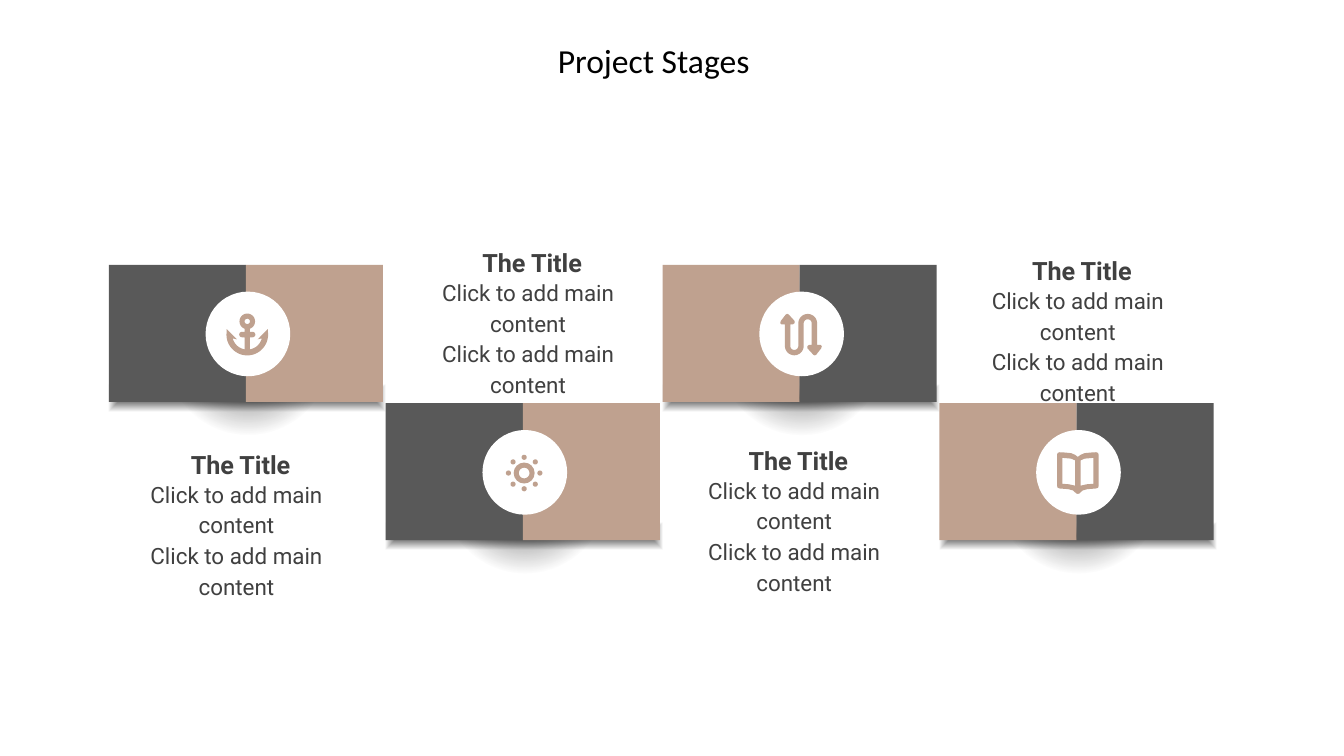
"""Build the Project Stages slide with four alternating stage cards."""
from dataclasses import dataclass
from math import cos, radians, sin
from typing import Any

from pptx import Presentation
from pptx.dml.color import RGBColor
from pptx.enum.shapes import MSO_SHAPE
from pptx.enum.text import MSO_ANCHOR, MSO_AUTO_SIZE, PP_ALIGN
from pptx.oxml import parse_xml
from pptx.oxml.ns import nsdecls
from pptx.util import Inches, Pt

Contour = list[tuple[float, float]]


@dataclass(frozen=True)
class Theme:
    tan: RGBColor = RGBColor.from_string("BFA18F")
    gray: RGBColor = RGBColor.from_string("595959")
    white: RGBColor = RGBColor.from_string("FFFFFF")
    black: RGBColor = RGBColor.from_string("000000")
    ink: RGBColor = RGBColor.from_string("404040")
    heading_font: str = "Calibri"
    body_font: str = "Roboto"
    heading_size: float = 18
    title_size: float = 13.5
    body_size: float = 12
    line_spacing: float = 1.14


@dataclass(frozen=True)
class Stage:
    halves: tuple[RGBColor, RGBColor]
    icon: list[Contour]
    text_left: float
    text_top: float
    title: str = "The Title"
    body: tuple[str, ...] = ("Click to add main content",) * 2


THEME = Theme()
SLIDE_WIDTH = Inches(10)
SLIDE_HEIGHT = SLIDE_WIDTH * 9 // 16
FIRST_LEFT, FIRST_TOP = 0.81, 1.97
STEP_X, STEP_Y = 2.06, 1.03
HALF = 1.02
BADGE = 0.63
ICON_CENTER = (1.03, 0.52)


def apply(target: Any, values: dict[str, Any]) -> None:
    for attribute, value in values.items():
        setattr(target, attribute, value)


def arc(x: float, y: float, radius: float, start: float = 0, end: float = 360,
        steps: int = 16) -> Contour:
    angles = [radians(start + (end - start) * i / steps) for i in range(steps + 1)]
    return [(x + radius * cos(a), y + radius * sin(a)) for a in angles]


def mirrored(half: Contour) -> Contour:
    return half + [(-x, y) for x, y in reversed(half)]


def anchor_icon() -> list[Contour]:
    right = (arc(0, -9.8, 5.8, -90, 70) + [(2, -2)] + arc(4, 0, 2, -90, 90)
             + [(2, 2), (2, 11)] + arc(0, 0, 11.2, 80, 15)
             + [(7.8, 3.5), (15.3, -4)] + arc(0, 0, 15.5, 0, 90))
    return [mirrored(right), arc(0, -9.8, 2)]


def sun_icon() -> list[Contour]:
    rays = [arc(x, y, 1.9) for x, y in arc(0, 0, 11.7, steps=8)[:-1]]
    return [arc(0, 0, 7.8), arc(0, 0, 4), *rays]


def route_icon() -> list[Contour]:
    half = ([(-15, -10.2), (-11.3, -15), (-10.2, -15.5), (-9.2, -15), (-4.8, -10.2),
             (-4.8, -8.5), (-6, -7.7), (-8, -7.7)]
            + arc(-5, 8.4, 3, 180, 0) + arc(5, -8.4, 7, 180, 360)
            + [(12, 7.7), (14.5, 7.7), (15.5, 8.5)])
    return [half + [(-x, -y) for x, y in half]]


def book_icon() -> list[Contour]:
    page = [(-11.5, -11.3), (-11.5, 8), (-6.5, 8.4), (-2, 9.4), (-2, -9.4), (-5, -10.7)]
    left = [(0, -12), (-2, -13.5), (-5, -14.8), (-10, -15.3), (-13.5, -15.5),
            (-15, -15), (-15.5, -13.5), (-15.5, 9.5), (-15, 11), (-13.5, 11.5),
            (-7, 12), (-3.5, 13), (-1.2, 15.2), (0, 15.5)]
    return [mirrored(left), page, [(-x, y) for x, y in page]]


def add_preset(slide: Any, kind: MSO_SHAPE, box: tuple[float, ...], color: RGBColor) -> Any:
    shape = slide.shapes.add_shape(kind, *map(Inches, box))
    finish(shape, color)
    return shape


def finish(shape: Any, color: RGBColor) -> None:
    shape.shadow.inherit = False
    shape.fill.solid()
    shape.fill.fore_color.rgb = color
    shape.line.fill.background()


def add_glow(slide: Any, kind: MSO_SHAPE, box: tuple[float, ...], spread: str,
             opacity: int, reach: int) -> None:
    glow = add_preset(slide, kind, box, THEME.black)
    stops = "".join(
        f'<a:gs pos="{position * 1000}"><a:srgbClr val="{THEME.black}">'
        f'<a:alpha val="{alpha * 1000}"/></a:srgbClr></a:gs>'
        for position, alpha in ((0, opacity), (reach, 0), (100, 0)))
    gradient = parse_xml(
        f'<a:gradFill {nsdecls("a")} rotWithShape="1"><a:gsLst>{stops}</a:gsLst>'
        f'<a:path path="{spread}"><a:fillToRect l="50000" t="50000" r="50000" b="50000"/>'
        '</a:path></a:gradFill>')
    properties = glow._element.spPr
    properties.replace(properties.solidFill, gradient)


def add_icon(slide: Any, contours: list[Contour], center: tuple[float, float]) -> None:
    placed = [[(Inches(center[0] + x / 100), Inches(center[1] + y / 100))
               for x, y in contour] for contour in contours]
    builder = slide.shapes.build_freeform(*placed[0][0], scale=1.0)
    for index, contour in enumerate(placed):
        if index:
            builder.move_to(*contour[0])
        builder.add_line_segments(contour[1:], close=True)
    finish(builder.convert_to_shape(), THEME.tan)


def add_card(slide: Any, stage: Stage, left: float, top: float) -> None:
    add_glow(slide, MSO_SHAPE.OVAL, (left + 0.17, top - 0.05, 1.73, 1.41), "circle", 71, 55)
    add_glow(slide, MSO_SHAPE.RECTANGLE, (left, top + 0.89, STEP_X, 0.2), "shape", 70, 100)
    for side, color in enumerate(stage.halves):
        add_preset(slide, MSO_SHAPE.RECTANGLE, (left + side * HALF, top, HALF, HALF), color)
    add_preset(slide, MSO_SHAPE.OVAL, (left + 0.72, top + 0.2, BADGE, BADGE), THEME.white)
    add_icon(slide, stage.icon, (left + ICON_CENTER[0], top + ICON_CENTER[1]))


def add_text(slide: Any, lines: tuple[str, ...], box: tuple[float, ...], size: float,
             bold: bool) -> None:
    frame = slide.shapes.add_textbox(*map(Inches, box)).text_frame
    frame.word_wrap = True
    frame.text = "\n".join(lines)
    for paragraph in frame.paragraphs:
        apply(paragraph, {"alignment": PP_ALIGN.CENTER, "line_spacing": THEME.line_spacing})
        apply(paragraph.runs[0].font, {"name": THEME.body_font, "size": Pt(size), "bold": bold})
        paragraph.runs[0].font.color.rgb = THEME.ink


def add_heading(slide: Any, wording: str) -> None:
    heading = slide.shapes.title
    apply(heading, {"left": Inches(4.05), "top": Inches(0.25),
                    "width": Inches(1.91), "height": Inches(0.4)})
    frame = heading.text_frame
    apply(frame, {"text": wording, "word_wrap": True, "auto_size": MSO_AUTO_SIZE.NONE,
                  "vertical_anchor": MSO_ANCHOR.TOP})
    paragraph = frame.paragraphs[0]
    paragraph.alignment = PP_ALIGN.LEFT
    apply(paragraph.runs[0].font, {"name": THEME.heading_font, "size": Pt(THEME.heading_size)})
    paragraph.runs[0].font.color.rgb = THEME.black


def main() -> None:
    deck = Presentation()
    apply(deck, {"slide_width": SLIDE_WIDTH, "slide_height": SLIDE_HEIGHT})
    slide = deck.slides.add_slide(deck.slide_layouts[5])
    add_heading(slide, "Project Stages")
    gray_first = (THEME.gray, THEME.tan)
    tan_first = (THEME.tan, THEME.gray)
    stages = [
        Stage(gray_first, anchor_icon(), 0.96, 3.5),
        Stage(gray_first, sun_icon(), 3.13, 2.0),
        Stage(tan_first, route_icon(), 5.11, 3.47),
        Stage(tan_first, book_icon(), 7.22, 2.06),
    ]
    for index, stage in enumerate(stages):
        add_card(slide, stage, FIRST_LEFT + index * STEP_X, FIRST_TOP + index % 2 * STEP_Y)
    for stage in stages:
        left, top = stage.text_left, stage.text_top
        add_text(slide, stage.body, (left, top, 1.6, 1.02), THEME.body_size, False)
        add_text(slide, (stage.title,), (left + 0.24, top - 0.24, 1.18, 0.36),
                 THEME.title_size, True)
    deck.save("out.pptx")


if __name__ == "__main__":
    main()
